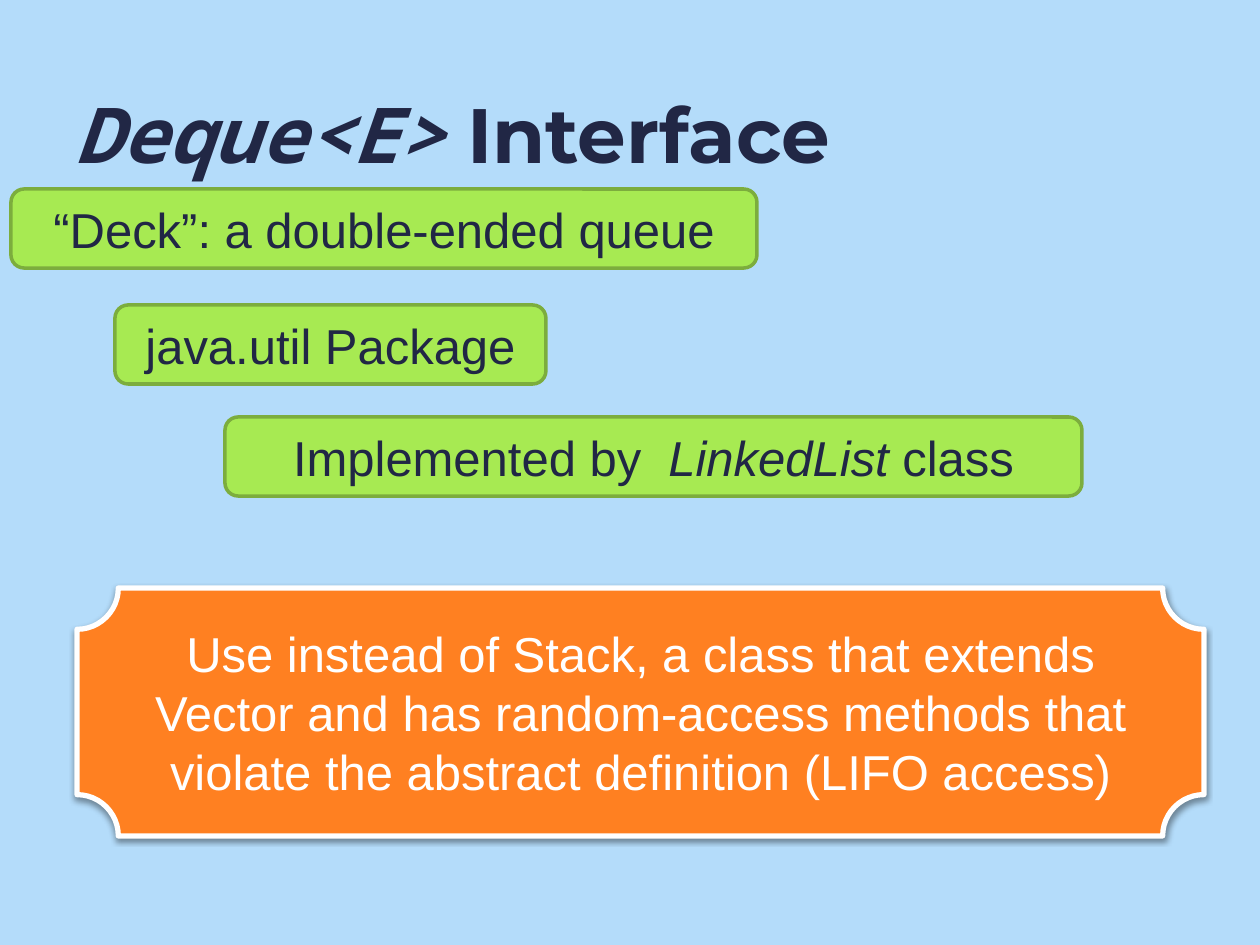
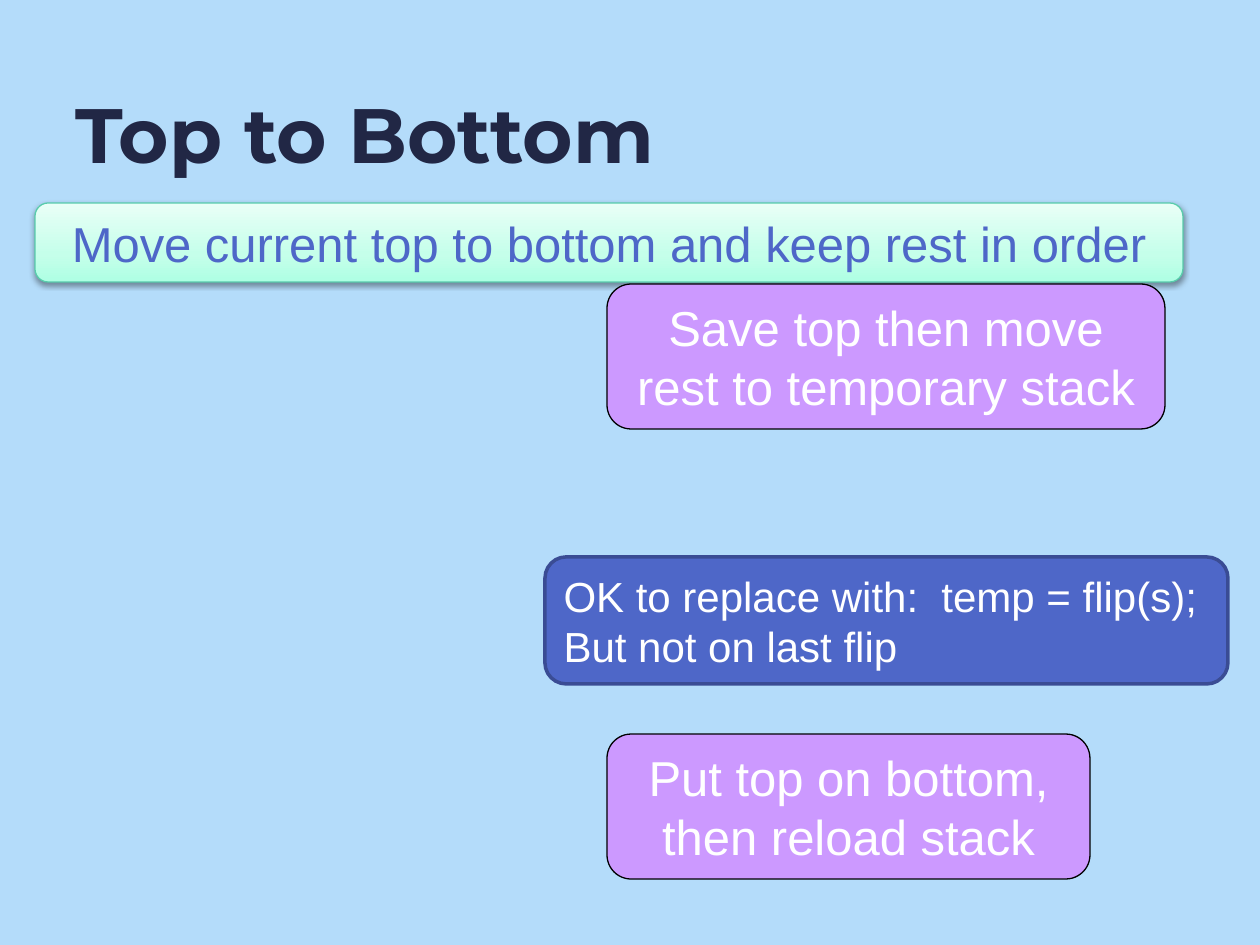
import copy

import lxml.etree
import pptx
import pptx.dml.color
import pptx.enum.shapes
import pptx.enum.text
import pptx.oxml.ns
import pptx.util

EMU_PER_PIXEL = 914400 / 126
SLIDE_SIZE = (1260, 945)
TITLE_BOX = (63, 34, 1155, 198)

BACKGROUND = "B4DCFA"
NAVY = "212745"
WHITE = "FFFFFF"
BLUE = "4E67C8"
BODY_FONT = "Arial"
TITLE_FONT = "Montserrat"
CODE_FONT = "Noto Sans Mono"

ROUNDED = pptx.enum.shapes.MSO_SHAPE.ROUNDED_RECTANGLE
PLAQUE = pptx.enum.shapes.MSO_SHAPE.PLAQUE
LEFT = pptx.enum.text.PP_ALIGN.LEFT
CENTER = pptx.enum.text.PP_ALIGN.CENTER

# A list of fills is a gradient from bottom to top: (position, colour).
MINT = [(0, "AEFFE3"), (0.35, "C5FFEA"), (1, "E9FFF7")]
STYLES = {
    "point": dict(fill="A7EA52", line="7CAD3D", width=2, text=NAVY),
    "advice": dict(outline=PLAQUE, fill="FF8021", line=WHITE, width=3, shadow=True),
    "goal": dict(fill=MINT, line="58CCAC", width=0.75, text=BLUE, shadow=True),
    "step": dict(fill="CC99FF", line="000000", width=0.75),
    "remark": dict(fill=BLUE, line="3A4C94", width=2, size=24, align=LEFT),
}

# Each paragraph is a list of runs: (text, italic). Boxes are left, top, width, height.
SLIDES = [
    {
        "title": [("Deque<E>", CODE_FONT, True), (" Interface", TITLE_FONT, False)],
        "boxes": [
            ("point", (115, 305, 431, 79), [[("java.util Package", False)]]),
            ("point", (225, 417, 857, 79),
             [[("Implemented by  ", False), ("LinkedList", True), (" class", False)]]),
            ("point", (11, 189, 746, 79),
             [[("“Deck”: a double-ended queue", False)]]),
            ("advice", (77, 588, 1127, 248),
             [[("Use instead of Stack, a class that extends Vector and has "
                "random-access methods that violate the abstract definition "
                "(LIFO access)", False)]]),
        ],
    },
    {
        "title": [("Top to Bottom", TITLE_FONT, False)],
        "boxes": [
            ("goal", (35, 203, 1148, 79),
             [[("Move current top to bottom and keep rest in order", False)]]),
            ("step", (607, 284, 558, 145),
             [[("Save top then move rest to temporary stack", False)]]),
            ("step", (607, 734, 483, 145),
             [[("Put top on bottom, then reload stack", False)]]),
            ("remark", (545, 557, 683, 127),
             [[("OK to replace with:  temp = flip(s);", False)],
              [("But not on last flip", False)]]),
        ],
    },
]


def pixels(*values):
    """Turn pixel lengths into EMU."""
    return [pptx.util.Emu(round(value * EMU_PER_PIXEL)) for value in values]


def rgb(value):
    """Turn a hex string into a colour."""
    return pptx.dml.color.RGBColor.from_string(value)


def add_run(paragraph, text, font, size, color, bold=False, italic=False):
    """Add one formatted run to a paragraph."""
    run = paragraph.add_run()
    run.text = text
    run.font.name = font
    run.font.size = pptx.util.Pt(size)
    run.font.color.rgb = rgb(color)
    run.font.bold = bold
    run.font.italic = italic


def add_title(slide, runs):
    """Add the slide title in its shared place."""
    frame = slide.shapes.add_textbox(*pixels(*TITLE_BOX)).text_frame
    frame.word_wrap = True
    frame.vertical_anchor = pptx.enum.text.MSO_ANCHOR.MIDDLE
    for text, font, italic in runs:
        add_run(frame.paragraphs[0], text, font, 44, NAVY, bold=True, italic=italic)


def paint(shape, fill):
    """Fill a shape with one colour or a vertical gradient."""
    if isinstance(fill, str):
        shape.fill.solid()
        shape.fill.fore_color.rgb = rgb(fill)
        return
    shape.fill.gradient()
    shape.fill.gradient_angle = 90
    stop_list = next(shape.element.spPr.iter(pptx.oxml.ns.qn("a:gsLst")))
    while len(stop_list) < len(fill):
        stop_list.append(copy.deepcopy(stop_list[0]))
    for stop, (position, color) in zip(shape.fill.gradient_stops, fill):
        stop.position = position
        stop.color.rgb = rgb(color)


def add_shadow(shape):
    """Give a shape a soft shadow straight below it."""
    qn = pptx.oxml.ns.qn
    effects = shape.element.spPr.find(qn("a:effectLst"))
    shadow = lxml.etree.SubElement(
        effects, qn("a:outerShdw"), blurRad=str(pptx.util.Pt(3.1)),
        dist=str(pptx.util.Pt(1.6)), dir="5400000", rotWithShape="0")
    color = lxml.etree.SubElement(shadow, qn("a:srgbClr"), val="000000")
    lxml.etree.SubElement(color, qn("a:alpha"), val="38000")


def add_box(slide, place, paragraphs, fill, line, width, text=WHITE, size=28,
            align=CENTER, outline=ROUNDED, shadow=False):
    """Add a filled box with its text."""
    shape = slide.shapes.add_shape(outline, *pixels(*place))
    shape.adjustments[0] = 0.16667
    shape.shadow.inherit = False
    paint(shape, fill)
    shape.line.color.rgb = rgb(line)
    shape.line.width = pptx.util.Pt(width)
    if shadow:
        add_shadow(shape)
    frame = shape.text_frame
    frame.word_wrap = True
    frame.auto_size = pptx.enum.text.MSO_AUTO_SIZE.SHAPE_TO_FIT_TEXT
    frame.vertical_anchor = pptx.enum.text.MSO_ANCHOR.MIDDLE
    for index, runs in enumerate(paragraphs):
        paragraph = frame.add_paragraph() if index else frame.paragraphs[0]
        paragraph.alignment = align
        for words, italic in runs:
            add_run(paragraph, words, BODY_FONT, size, text, italic=italic)


def build():
    """Build and save the presentation."""
    presentation = pptx.Presentation()
    presentation.slide_width, presentation.slide_height = pixels(*SLIDE_SIZE)
    for content in SLIDES:
        slide = presentation.slides.add_slide(presentation.slide_layouts[6])
        slide.background.fill.solid()
        slide.background.fill.fore_color.rgb = rgb(BACKGROUND)
        add_title(slide, content["title"])
        for style, place, paragraphs in content["boxes"]:
            add_box(slide, place, paragraphs, **STYLES[style])
    presentation.save("out.pptx")


build()
